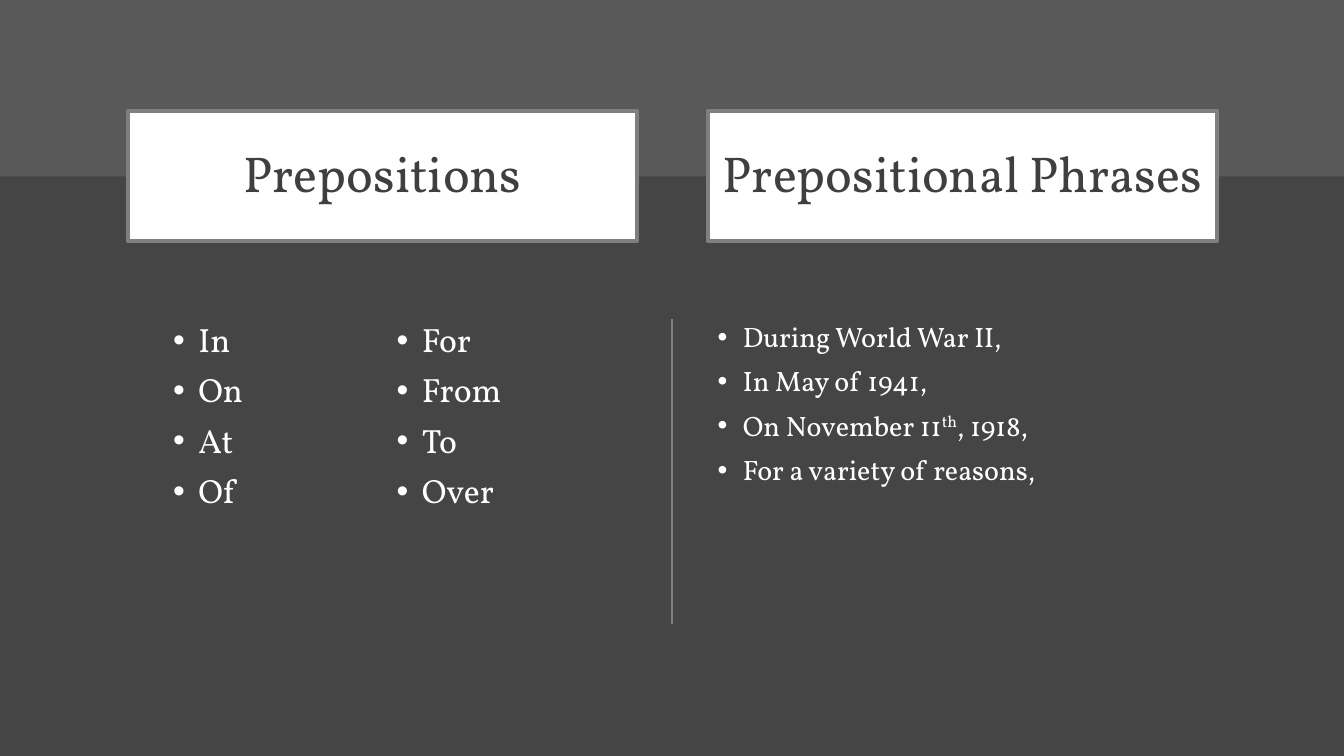
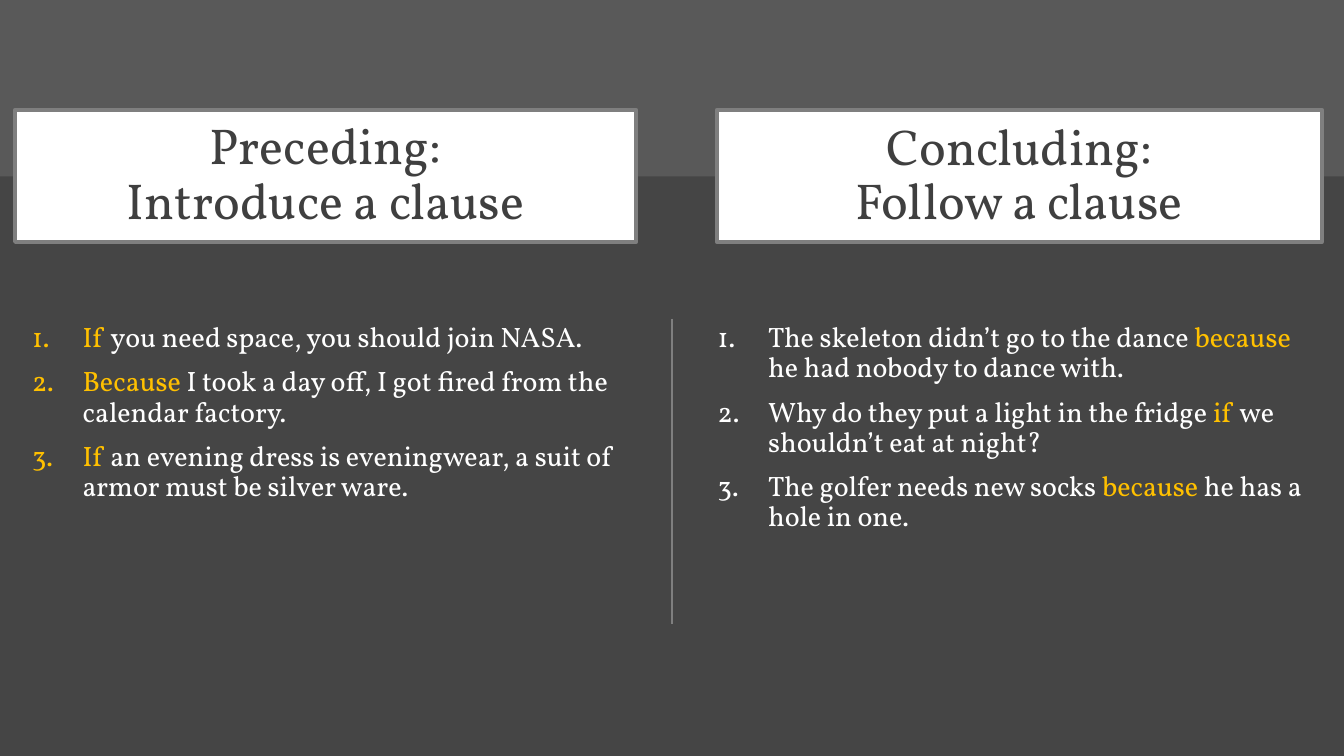
from lxml import etree
from pptx import Presentation
from pptx.dml.color import RGBColor
from pptx.enum.shapes import MSO_CONNECTOR as Conn, MSO_SHAPE as Shape
from pptx.enum.text import MSO_ANCHOR as Anchor, MSO_AUTO_SIZE as Fit, PP_ALIGN as Align
from pptx.oxml.ns import qn
from pptx.util import Inches, Pt

FONT = "Vollkorn"
BACK, BAND, RULE = "454545", "595959", "7F7F7F"
WHITE, DARK, GOLD = "FFFFFF", "3F3F3F", "FFC000"
BODY_TOP = 3.16

KEY = {"color": GOLD}
SUP = {"base": 30}
DOTS = {"indent": 0.25, "tag": "a:buChar", "attrs": {"char": "•"}}
NUMS = {"indent": 0.5, "tag": "a:buAutoNum", "attrs": {"type": "arabicPeriod"}}

# Boxes are (left, top, width, height); each item is a list of (text, style) runs.
SLIDES = [
    [
        {
            "head": ["Prepositions"], "head_box": (1.27, 1.1, 5.05, 1.29),
            "box": (1.62, BODY_TOP, 4.63, 2.28), "list": DOTS, "size": 24, "cols": 2,
            "items": [[(word, {})] for word in
                      ("In", "On", "At", "Of", "For", "From", "To", "Over")],
        },
        {
            "head": ["Prepositional Phrases"], "head_box": (7.02, 1.1, 5.05, 1.29),
            "box": (7.02, BODY_TOP, 4.69, 3.24), "list": DOTS, "size": 20, "cols": 1,
            "items": [
                [("During World War II,", {})],
                [("In May of 1941,", {})],
                [("On November 11", {}), ("th", SUP), (", 1918,", {})],
                [("For a variety of reasons,", {})],
            ],
        },
    ],
    [
        {
            "head": ["Preceding:", "Introduce a clause"], "head_box": (0.15, 1.09, 6.16, 1.31),
            "box": (0.22, BODY_TOP, 6.09, 4.14), "list": NUMS, "size": 20, "cols": 1,
            "items": [
                [("If ", KEY), ("you need space, you should join NASA.", {})],
                [("Because", KEY),
                 (" I took a day off, I got fired from the calendar factory.", {})],
                [("If ", KEY),
                 ("an evening dress is eveningwear, a suit of armor must be silver ware.", {})],
            ],
        },
        {
            "head": ["Concluding:", "Follow a clause"], "head_box": (7.11, 1.09, 6, 1.31),
            "box": (7.02, BODY_TOP, 6.09, 4.14), "list": NUMS, "size": 20, "cols": 1,
            "items": [
                [("The skeleton didn’t go to the dance ", {}), ("because ", KEY),
                 ("he had nobody to dance with.", {})],
                [("Why do they put a light in the fridge ", {}), ("if ", KEY),
                 ("we shouldn’t eat at night?", {})],
                [("The golfer needs new socks ", {}), ("because", KEY),
                 (" he has a hole in one.", {})],
            ],
        },
    ],
]


def rgb(color):
    return RGBColor.from_string(color)


def assign(target, values):
    for name, value in values.items():
        setattr(target, name, value)


def paint(shape, fill, line=None):
    shape.fill.solid()
    shape.fill.fore_color.rgb = rgb(fill)
    if line:
        shape.line.color.rgb = rgb(line)
        shape.line.width = Pt(3)
    else:
        shape.line.fill.background()


def add_run(para, text, size, color=WHITE, base=0):
    run = para.add_run()
    run.text = text
    assign(run.font, {"name": FONT, "size": Pt(size)})
    run.font.color.rgb = rgb(color)
    if base:
        run.font._element.set("baseline", str(base * 1000))


def paras(frame, count):
    """Yield the given number of paragraphs, starting with the existing one."""
    for i in range(count):
        yield frame.add_paragraph() if i else frame.paragraphs[0]


def add_head(shape, box, lines):
    assign(shape, dict(zip(("left", "top", "width", "height"), map(Inches, box))))
    paint(shape, WHITE, RULE)
    frame = shape.text_frame
    assign(frame, {"word_wrap": True, "auto_size": Fit.NONE, "vertical_anchor": Anchor.MIDDLE})
    for para, line in zip(paras(frame, len(lines)), lines):
        assign(para, {"alignment": Align.CENTER, "line_spacing": 0.9})
        add_run(para, line, 36, DARK)


def add_bullet(para, kind):
    props = para._p.get_or_add_pPr()
    indent = Inches(kind["indent"])
    props.set("marL", str(indent))
    props.set("indent", str(-indent))
    if kind is DOTS:
        etree.SubElement(props, qn("a:buFont"), typeface="Arial")
    etree.SubElement(props, qn(kind["tag"]), kind["attrs"])


def add_body(slide, part):
    frame = slide.shapes.add_textbox(*map(Inches, part["box"])).text_frame
    assign(frame, {"word_wrap": True, "auto_size": Fit.NONE})
    if part["cols"] > 1:
        frame._txBody.bodyPr.set("numCol", str(part["cols"]))
    items = part["items"]
    for i, para in enumerate(paras(frame, len(items))):
        add_bullet(para, part["list"])
        assign(para, {"line_spacing": 0.9, "space_before": Pt(10 if i else 0)})
        for text, style in items[i]:
            add_run(para, text, part["size"], **style)


def add_band(slide, width):
    band = slide.shapes.add_shape(Shape.RECTANGLE, 0, 0, width, Inches(1.75))
    band.shadow.inherit = False
    paint(band, BAND)
    slide.shapes.element.insert(2, band.element)  # behind the title


def add_rule(slide, width):
    mid = width // 2
    rule = slide.shapes.add_connector(Conn.STRAIGHT, mid, Inches(BODY_TOP), mid, Inches(6.19))
    rule.line.color.rgb = rgb(RULE)
    rule.line.width = Pt(1.5)
    etree.SubElement(rule.element.spPr, qn("a:effectLst"))


def main():
    deck = Presentation()
    assign(deck, {"slide_width": Inches(13.33), "slide_height": Inches(7.5)})
    back = deck.slide_master.background.fill
    back.solid()
    back.fore_color.rgb = rgb(BACK)
    for left, right in SLIDES:
        slide = deck.slides.add_slide(deck.slide_layouts[5])
        add_band(slide, deck.slide_width)
        add_head(slide.shapes.title, left["head_box"], left["head"])
        add_body(slide, left)
        add_rule(slide, deck.slide_width)
        add_body(slide, right)
        box = right["head_box"]
        label = slide.shapes.add_shape(Shape.RECTANGLE, *map(Inches, box))
        label.shadow.inherit = False
        add_head(label, box, right["head"])
    deck.save("out.pptx")


if __name__ == "__main__":
    main()
